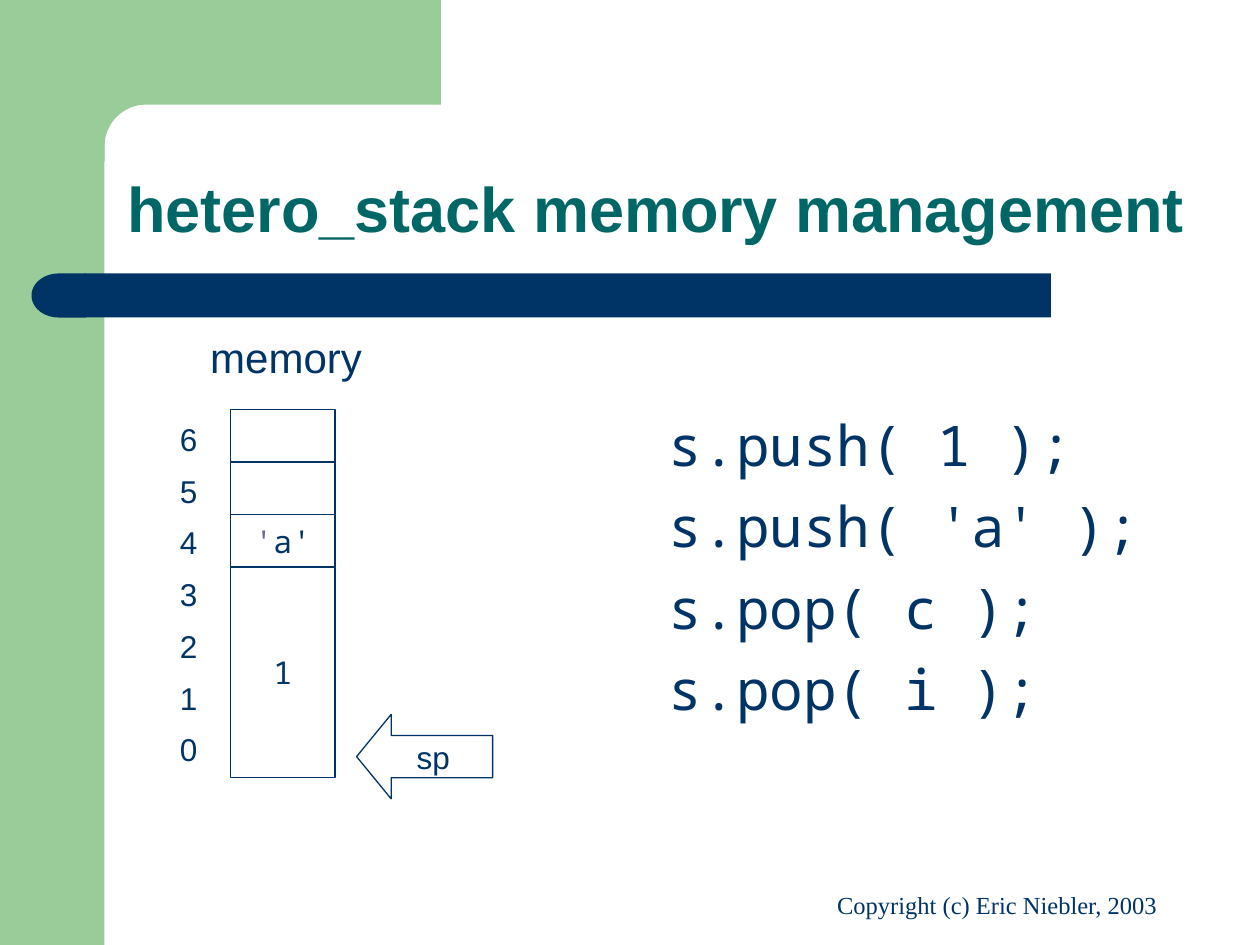
from math import cos, pi, sin

from pptx import Presentation
from pptx.dml.color import RGBColor
from pptx.enum.shapes import MSO_SHAPE
from pptx.enum.text import MSO_ANCHOR, PP_ALIGN
from pptx.util import Inches, Pt

RECTANGLE, DELAY, LEFT_ARROW = (
    MSO_SHAPE.RECTANGLE, MSO_SHAPE.FLOWCHART_DELAY, MSO_SHAPE.LEFT_ARROW)
TOP, MIDDLE, BOTTOM = MSO_ANCHOR.TOP, MSO_ANCHOR.MIDDLE, MSO_ANCHOR.BOTTOM
LEFT, CENTER = PP_ALIGN.LEFT, PP_ALIGN.CENTER
SANS, MONO, SERIF = "Arial", "Noto Sans Mono", "Times New Roman"
COLORS = {"green": "99CC99", "navy": "003366", "teal": "006666",
          "violet": "666699", "white": "FFFFFF"}


def color(name):
    """Return the named colour."""
    return RGBColor.from_string(COLORS[name])


def style(shape, fill, line=None):
    """Give a shape a flat fill and an optional thin outline."""
    shape.shadow.inherit = False
    shape.fill.solid()
    shape.fill.fore_color.rgb = color(fill)
    if line:
        shape.line.color.rgb = color(line)
        shape.line.width = Pt(0.75)
    else:
        shape.line.fill.background()


def add_block(page, kind, box, fill, line=None):
    """Add a preset shape in the given box."""
    shape = page.shapes.add_shape(kind, *map(Inches, box))
    style(shape, fill, line)
    return shape


def write(shape, lines, size, font=SANS, ink="navy", align=LEFT, anchor=TOP,
          wrap=True, bold=False, before=0, after=0, spacing=1.0):
    """Write one paragraph for each line of text."""
    frame = shape.text_frame
    frame.word_wrap = wrap
    frame.vertical_anchor = anchor
    for index, line in enumerate(lines):
        para = frame.paragraphs[0] if index == 0 else frame.add_paragraph()
        para.alignment = align
        para.line_spacing = spacing
        para.space_before, para.space_after = Pt(before), Pt(after)
        para.font.size, para.font.name, para.font.bold = Pt(size), font, bold
        para.font.color.rgb = color(ink)
        para.add_run().text = line


def add_text(page, box, lines, size, **options):
    """Add a text box in the given box."""
    write(page.shapes.add_textbox(*map(Inches, box)), lines, size, **options)


def add_frame(page, box):
    """Draw the green side band and the top block with its rounded inner corner."""
    left, top, width, height = box
    band, block, depth, radius = 0.83, 3.5, 0.83, 0.33
    add_block(page, RECTANGLE, (left, top, band, height), "green")
    steps = 12
    angles = [pi / 2 * step / steps for step in range(steps + 1)]
    curve = [(left + band + radius * (1 - sin(angle)),
              top + depth + radius * (1 - cos(angle))) for angle in angles]
    points = [(left + block, top), (left + block, top + depth), *curve,
              (left + band, top + 1.28), (left + 0.5, top + 1.28)]
    builder = page.shapes.build_freeform(
        Inches(left + 0.5), Inches(top), scale=1.0)
    builder.add_line_segments([(Inches(x), Inches(y)) for x, y in points])
    style(builder.convert_to_shape(), "green")


def add_rule(page, box):
    """Draw the navy bar with a round left end."""
    left, top, width, height = box
    cap = 0.43
    add_block(page, RECTANGLE, (left + cap - 0.01, top, width - cap + 0.01, height), "navy")
    add_block(page, DELAY, (left, top, cap, height), "navy").rotation = 180


def add_memory(page, box):
    """Draw the labelled memory cells and the stack pointer."""
    left, top, width, height = box
    add_text(page, (left + 0.24, top, 3.47, 0.5), ["memory"], 24)
    add_text(page, (left, top + 0.75, 0.42, 2.83), list("6543210"), 18,
             before=11.2, spacing=0.85)
    cells_left, cells_top, cell_width, cell = left + 0.5, top + 0.67, 0.83, 2.92 / 7

    def add_cell(first, count):
        """Add a cell that spans count bytes."""
        area = (cells_left, cells_top + first * cell, cell_width, count * cell)
        return add_block(page, RECTANGLE, area, "white", "navy")

    for row in range(2):
        add_cell(row, 1)
    write(add_cell(3, 4), ["1"], 18, font=MONO, align=CENTER, anchor=MIDDLE, wrap=False)
    letter = add_cell(2, 1)
    write(letter, ["'"], 18, font=MONO, align=CENTER, anchor=MIDDLE, wrap=False)
    para = letter.text_frame.paragraphs[0]
    para.runs[0].font.color.rgb = color("violet")
    para.add_run().text = "a'"

    arrow = add_block(page, LEFT_ARROW,
                      (left + 1.5, top + height - 0.67, 1.08, 0.67), "white", "navy")
    arrow.adjustments[0], arrow.adjustments[1] = 0.5, 0.41
    write(arrow, ["sp"], 18, align=CENTER, anchor=MIDDLE, wrap=False)


def build_slide(page):
    """Place every region of the slide."""
    add_frame(page, (0, 0, 10, 7.5))
    add_rule(page, (0.25, 2.17, 8.09, 0.35))
    add_text(page, (0.91, 0.91, 8.59, 1.09), ["hetero_stack memory management"], 36,
             ink="teal", bold=True, anchor=BOTTOM, spacing=0.9)
    add_memory(page, (1.33, 2.58, 2.58, 3.76))
    add_text(page, (5.21, 3.21, 4.12, 3.44),
             ["s.push( 1 );", "s.push( 'a' );", "s.pop( c );", "s.pop( i );"], 32,
             font=MONO, after=8)
    add_text(page, (6.33, 6.83, 3.17, 0.52), ["Copyright (c) Eric Niebler, 2003"], 14,
             font=SERIF, align=CENTER, anchor=BOTTOM)


def main():
    """Build the deck and save it."""
    deck = Presentation()
    deck.slide_width, deck.slide_height = Inches(10), Inches(7.5)
    build_slide(deck.slides.add_slide(deck.slide_layouts[6]))
    deck.save("out.pptx")


if __name__ == "__main__":
    main()
